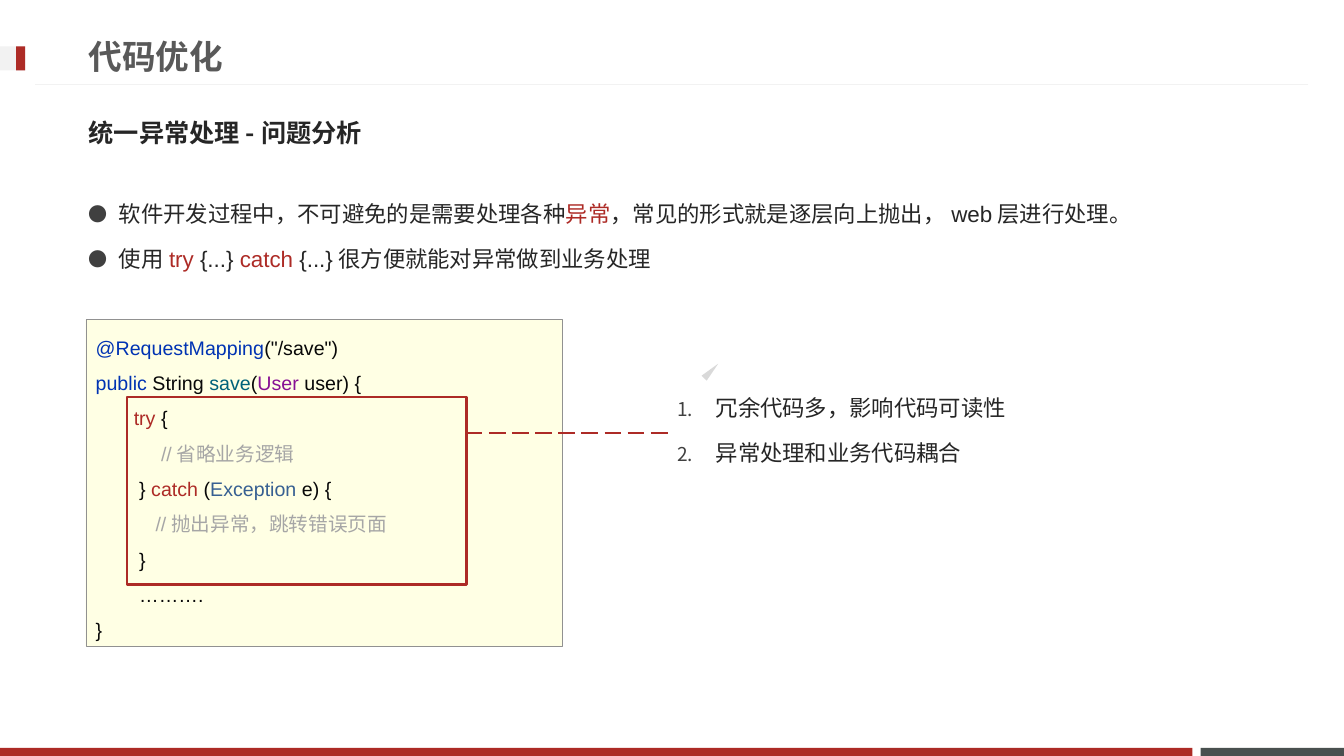
from pptx import Presentation, util as u
from pptx.dml.color import RGBColor
from pptx.enum import dml, shapes, text
from pptx.oxml import parse_xml
from pptx.oxml.ns import nsdecls

WIDE, HIGH = u.Inches(13.33), u.Inches(7.5)
RED, INK, CODE, NOTE, BLUE = "AD2B26", "262626", "080808", "A6A6A6", "0033B3"
PALE, GREY = "F2F2F2", "404040"
SPACE = 0.054

BARS = [
    (89.33, 98.93, 10.67, 1.07, "49504F"),
    (0, 98.93, 88.73, 1.07, RED),
    (0, 6.13, 1.88, 3.2, PALE),
    (1.2, 6.13, 0.68, 3.2, RED),
]
POINTS = [
    [("软件开发过程中，不可避免的是需要处理各种", INK), ("异常", RED),
     ("，常见的形式就是逐层向上抛出，web层进行处理。", INK)],
    [("使用", INK), ("try", RED), (" {...} ", INK), ("catch", RED),
     (" {...}很方便就能对异常做到业务处理", INK)],
]
ISSUES = [[("冗余代码多，影响代码可读性", INK)], [("异常处理和业务代码耦合", INK)]]
LINES = [
    (0, [("@RequestMapping", BLUE), ('("/save")', CODE)]),
    (0, [("public", BLUE), (" String ", CODE), ("save", "00627A"), ("(", CODE),
         ("User", "871094"), (" user) {", CODE)]),
    (7, [("try", RED), (" {", CODE)]),
    (12, [("//省略业务逻辑", NOTE)]),
    (8, [("}", CODE), (" catch", RED), (" (", CODE),
         ("Exception", "376092"), (" e) {", CODE)]),
    (11, [("//抛出异常，跳转错误页面", NOTE)]),
    (8, [("}", CODE)]),
    (8, [("……….", CODE)]),
    (0, [("}", CODE)]),
]


def tint(code):
    """Turn a hex string into a colour."""
    return RGBColor.from_string(code)


def put(thing, values):
    """Set attributes of a thing from a dict."""
    for name, value in values.items():
        setattr(thing, name, value)


def span(left, top, wide, high):
    """Turn percentages of the slide into lengths."""
    return [int(part * side / 100)
            for part, side in zip((left, top, wide, high), (WIDE, HIGH) * 2)]


def shape(slide, kind, box, fill=None, line=None, width=1):
    """Add a flat preset shape."""
    item = slide.shapes.add_shape(kind, *span(*box))
    item.shadow.inherit = False
    if fill:
        item.fill.solid()
        item.fill.fore_color.rgb = tint(fill)
    else:
        item.fill.background()
    if line:
        item.line.color.rgb = tint(line)
        item.line.width = u.Pt(width)
    else:
        item.line.fill.background()
    return item


def rule(slide, start, end, level, color, width, dash=None):
    """Add a level line between two shares of the width."""
    x, y, far, same = span(start, level, end, level)
    item = slide.shapes.add_connector(shapes.MSO_CONNECTOR.STRAIGHT, x, y, far, same)
    item.line.color.rgb = tint(color)
    put(item.line, {"width": u.Pt(width), "dash_style": dash})
    item._element.spPr.append(parse_xml(f"<a:effectLst {nsdecls('a')}/>"))


def move(item, box, anchor=text.MSO_ANCHOR.TOP):
    """Move a placeholder and set up its text frame."""
    put(item, dict(zip(("left", "top", "width", "height"), span(*box))))
    put(item.text_frame, {"vertical_anchor": anchor, "word_wrap": True,
                          "auto_size": text.MSO_AUTO_SIZE.NONE})


def indent(para, left, hang=0):
    """Set the left margin and first-line indent in inches."""
    props = para._p.get_or_add_pPr()
    props.set("marL", str(u.Inches(left)))
    props.set("indent", str(u.Inches(hang)))
    return props


def write(para, runs, size, font="Arial", bold=False, lead=1.5, before=0):
    """Write coloured runs into a paragraph."""
    put(para, {"alignment": text.PP_ALIGN.LEFT, "line_spacing": lead,
               "space_before": u.Pt(before), "space_after": u.Pt(0)})
    for words, color in runs:
        run = para.add_run()
        run.text = words
        put(run.font, {"size": u.Pt(size), "name": font, "bold": bold})
        run.font.color.rgb = tint(color)


def paras(frame, rows):
    """Yield a paragraph for each row."""
    for count, row in enumerate(rows):
        yield (frame.add_paragraph() if count else frame.paragraphs[0]), row


def items(holder, rows, hang, mark):
    """Fill a placeholder with a marked list."""
    marks = (f'<a:buClr {nsdecls("a")}><a:srgbClr val="{GREY}"/></a:buClr>',
             f'<a:buSzPct {nsdecls("a")} val="85000"/>',
             f'<a:buFont {nsdecls("a")} typeface="Noto Sans CJK JP"/>',
             f'<a:{mark} {nsdecls("a")}/>')
    for para, runs in paras(holder.text_frame, rows):
        write(para, runs, 16, before=3.2)
        props = indent(para, hang, -hang)
        for part in marks:
            props.append(parse_xml(part.replace("'", '"')))


def code(slide):
    """Add the code panel."""
    panel = shape(slide, shapes.MSO_SHAPE.RECTANGLE, (6.38, 42.27, 35.48, 43.2),
                  "FFFFE4", "919191", 0.25)
    put(panel.text_frame, {"word_wrap": True, "vertical_anchor": text.MSO_ANCHOR.MIDDLE})
    for para, (depth, runs) in paras(panel.text_frame, LINES):
        write(para, runs, 14)
        indent(para, depth * SPACE)


def main():
    """Build and save the slide."""
    deck = Presentation()
    put(deck, {"slide_width": WIDE, "slide_height": HIGH})
    slide = deck.slides.add_slide(deck.slide_layouts[4])
    title, head, points, spare, issues = slide.placeholders
    spare._element.getparent().remove(spare._element)

    for *box, color in BARS:
        shape(slide, shapes.MSO_SHAPE.RECTANGLE, box, color)
    rule(slide, 97.35, 2.63, 11.2, PALE, 0.75)

    middle = text.MSO_ANCHOR.MIDDLE
    move(title, (5.85, 3.6, 71.93, 7.6), middle)
    write(title.text_frame.paragraphs[0], [("代码优化", "595959")], 24, bold=True, lead=1)
    move(head, (5.85, 13.73, 88.2, 7.6), middle)
    write(head.text_frame.paragraphs[0], [("统一异常处理-问题分析", INK)], 18,
          "Noto Sans CJK JP", True, 1, 3.6)
    move(points, (5.85, 24, 83.4, 13.6))
    items(points, POINTS, 0.3, 'buChar char="●"')
    move(issues, (49.65, 49.73, 43.2, 31.2))
    items(issues, ISSUES, 0.38, 'buAutoNum type="arabicPeriod"')

    code(slide)
    wedge = shape(slide, shapes.MSO_SHAPE.ISOSCELES_TRIANGLE,
                  (52.65, 47.73, 0.53, 2.67), "D9D9D9")
    wedge.rotation = 44.2
    shape(slide, shapes.MSO_SHAPE.RECTANGLE, (9.45, 52.53, 25.28, 24.8), None, RED, 2)
    rule(slide, 34.65, 50.03, 57.33, RED, 1.5, dml.MSO_LINE.LONG_DASH)
    deck.save("out.pptx")


if __name__ == "__main__":
    main()
